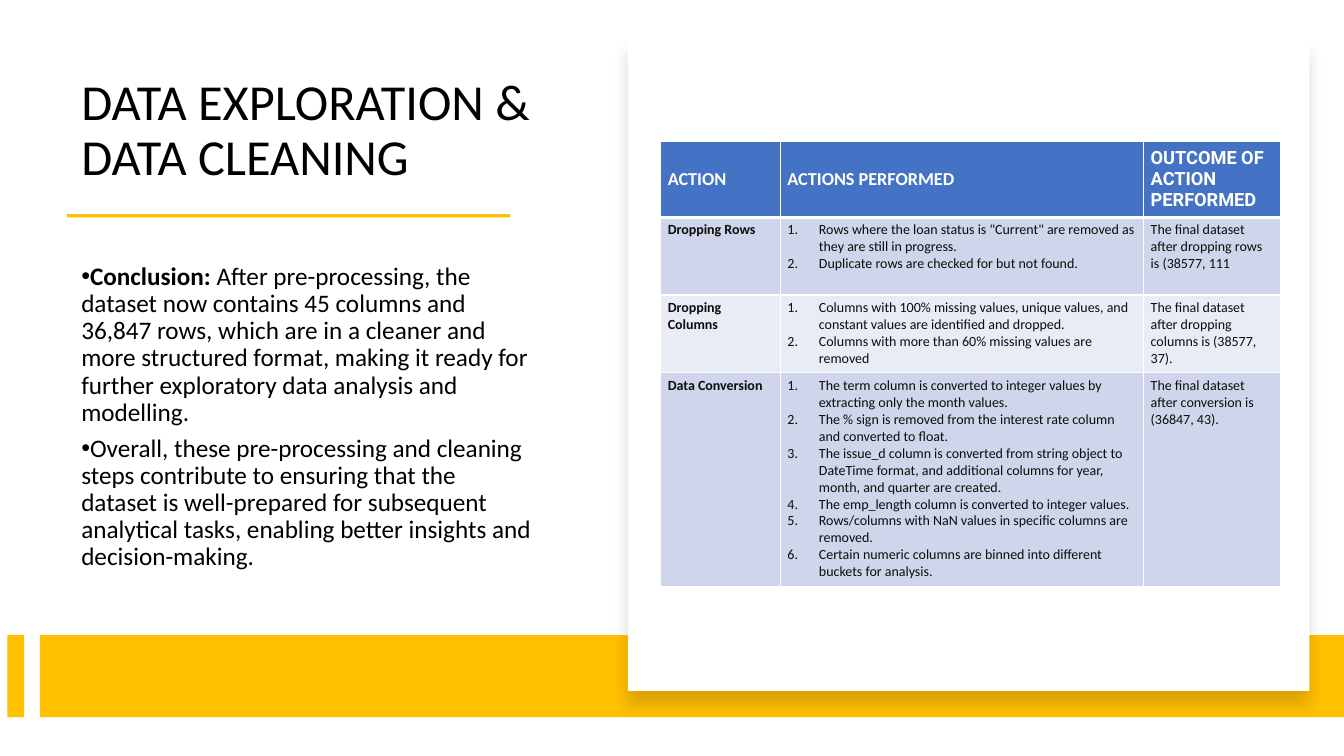
from dataclasses import dataclass

from lxml import etree
from pptx import Presentation
from pptx import util as u
from pptx.dml.color import RGBColor
from pptx.enum import shapes, text
from pptx.oxml.ns import qn

PX = 9525  # EMU per px, 96 px to the inch

BLACK = RGBColor(0x00, 0x00, 0x00)
WHITE = RGBColor(0xFF, 0xFF, 0xFF)
GOLD = RGBColor(0xFF, 0xC0, 0x00)
BLUE = RGBColor(0x44, 0x72, 0xC4)
BAND_DARK = RGBColor(0xCF, 0xD5, 0xEA)
BAND_LIGHT = RGBColor(0xE9, 0xEB, 0xF5)
INK = RGBColor(0x0D, 0x0D, 0x0D)


@dataclass(frozen=True)
class Box:
    left: int
    top: int
    width: int
    height: int

    def emu(self) -> tuple[int, int, int, int]:
        return self.left * PX, self.top * PX, self.width * PX, self.height * PX


@dataclass(frozen=True)
class Step:
    action: str
    performed: tuple[str, ...]
    outcome: str
    height: int


TITLE = Box(68, 56, 449, 126)
TITLE_RULE = Box(64, 204, 422, 3)
SUMMARY = Box(68, 213, 449, 369)
FOOTER_BARS = (Box(7, 605, 16, 78), Box(38, 605, 1242, 78))
CARD = Box(598, 37, 649, 621)
COLUMN_WIDTHS = (114, 346, 131)
HEADER_HEIGHT = 72

SUMMARY_POINTS = (
    ("Conclusion: ",
     "After pre-processing, the dataset now contains 45 columns and 36,847 rows, which are in a cleaner "
     "and more structured format, making it ready for further exploratory data analysis and modelling."),
    ("",
     "Overall, these pre-processing and cleaning steps contribute to ensuring that the dataset is "
     "well-prepared for subsequent analytical tasks, enabling better insights and decision-making."),
)
HEADINGS = (("ACTION", "Calibri"), ("ACTIONS PERFORMED", "Calibri"),
            ("OUTCOME OF ACTION PERFORMED", "Roboto"))
STEPS = (
    Step("Dropping Rows",
         ('Rows where the loan status is "Current" are removed as they are still in progress.',
          "Duplicate rows are checked for but not found."),
         "The final dataset after dropping rows is (38577, 111", 74),
    Step("Dropping Columns",
         ("Columns with 100% missing values, unique values, and constant values are identified and dropped.",
          "Columns with more than 60% missing values are removed"),
         "The final dataset after dropping columns is (38577, 37).", 74),
    Step("Data Conversion",
         ("The term column is converted to integer values by extracting only the month values.",
          "The % sign is removed from the interest rate column and converted to float.",
          "The issue_d column is converted from string object to DateTime format, and additional columns "
          "for year, month, and quarter are created.",
          "The emp_length column is converted to integer values.",
          "Rows/columns with NaN values in specific columns are removed.",
          "Certain numeric columns are binned into different buckets for analysis."),
         "The final dataset after conversion is (36847, 43).", 204),
)


def style(run, size: float, color: RGBColor, bold: bool = False, font: str = "Calibri") -> None:
    run.font.size = u.Pt(size)
    run.font.name = font
    run.font.bold = bold
    run.font.color.rgb = color


def set_bullet(paragraph, margin: int, indent: int, tag: str, **attributes: str) -> None:
    props = paragraph._p.get_or_add_pPr()
    props.set("marL", str(margin * PX))
    props.set("indent", str(indent * PX))
    etree.SubElement(props, qn("a:buFont"), typeface="Arial" if tag == "a:buChar" else "+mj-lt")
    etree.SubElement(props, qn(tag), **attributes)


def add_panel(slide, box: Box, color: RGBColor):
    panel = slide.shapes.add_shape(shapes.MSO_SHAPE.RECTANGLE, *box.emu())
    panel.shadow.inherit = False
    panel.fill.solid()
    panel.fill.fore_color.rgb = color
    panel.line.fill.background()
    return panel


def add_soft_shadow(panel) -> None:
    effects = panel._element.spPr.find(qn("a:effectLst"))
    shadow = etree.SubElement(effects, qn("a:outerShdw"), blurRad=str(u.Pt(11)), dist=str(u.Pt(10)),
                              dir="5400000", algn="t", rotWithShape="0")
    tint = etree.SubElement(shadow, qn("a:srgbClr"), val=str(BLACK))
    etree.SubElement(tint, qn("a:alpha"), val="15000")


def format_cell(cell, fill: RGBColor, top: int, bottom: int) -> None:
    cell.margin_left = cell.margin_right = 7 * PX
    cell.margin_top = cell.margin_bottom = 4 * PX
    props = cell._tc.get_or_add_tcPr()
    for side, points in (("L", 1), ("R", 1), ("T", top), ("B", bottom)):
        edge = etree.SubElement(props, qn(f"a:ln{side}"), w=str(u.Pt(points)))
        paint = etree.SubElement(edge, qn("a:solidFill"))
        etree.SubElement(paint, qn("a:srgbClr"), val=str(WHITE))
    cell.fill.solid()
    cell.fill.fore_color.rgb = fill


def add_title(slide) -> None:
    title = slide.shapes.title
    title.left, title.top, title.width, title.height = TITLE.emu()
    frame = title.text_frame
    frame.text = "DATA EXPLORATION & DATA CLEANING"
    frame.word_wrap = True
    frame.auto_size = text.MSO_AUTO_SIZE.NONE
    frame.vertical_anchor = text.MSO_ANCHOR.BOTTOM
    heading = frame.paragraphs[0]
    heading.alignment = text.PP_ALIGN.LEFT
    heading.line_spacing = 0.9
    style(heading.runs[0], 36, BLACK)


def add_summary(slide) -> None:
    frame = slide.shapes.add_textbox(*SUMMARY.emu()).text_frame
    frame.word_wrap = True
    frame.vertical_anchor = text.MSO_ANCHOR.MIDDLE
    for index, (lead, body) in enumerate(SUMMARY_POINTS):
        point = frame.add_paragraph() if index else frame.paragraphs[0]
        point.line_spacing = 0.9
        point.space_after = u.Pt(6)
        set_bullet(point, 0, -24, "a:buChar", char="•")
        for words, bold in ((lead, True), (body, False)):
            if words:
                run = point.add_run()
                run.text = words
                style(run, 18, BLACK, bold)


def add_steps_table(slide) -> None:
    heights = (HEADER_HEIGHT, *(step.height for step in STEPS))
    box = Box(629, 135, sum(COLUMN_WIDTHS), sum(heights))
    table = slide.shapes.add_table(len(heights), len(COLUMN_WIDTHS), *box.emu()).table
    for column, width in zip(table.columns, COLUMN_WIDTHS):
        column.width = width * PX
    for row, height in zip(table.rows, heights):
        row.height = height * PX

    for cell, (heading, font) in zip(table.rows[0].cells, HEADINGS):
        cell.text_frame.text = heading
        cell.vertical_anchor = text.MSO_ANCHOR.MIDDLE
        style(cell.text_frame.paragraphs[0].runs[0], 13, WHITE, True, font)
        format_cell(cell, BLUE, 1, 3)

    for number, step in enumerate(STEPS, start=1):
        contents = (step.action, "\n".join(step.performed), step.outcome)
        for column, words in enumerate(contents):
            cell = table.cell(number, column)
            cell.text_frame.text = words
            for paragraph in cell.text_frame.paragraphs:
                if column == 1:
                    set_bullet(paragraph, 30, -30, "a:buAutoNum", type="arabicPeriod")
                style(paragraph.runs[0], 10, INK, column == 0)
            format_cell(cell, BAND_DARK if number % 2 else BAND_LIGHT, 3 if number == 1 else 1, 1)


def main() -> None:
    deck = Presentation()
    deck.slide_width, deck.slide_height = 1280 * PX, 720 * PX
    slide = deck.slides.add_slide(deck.slide_layouts[5])

    # Title and summary
    add_title(slide)
    add_panel(slide, TITLE_RULE, GOLD)
    add_summary(slide)

    # Footer bars, then the card over them
    for bar in FOOTER_BARS:
        add_panel(slide, bar, GOLD)
    add_soft_shadow(add_panel(slide, CARD, WHITE))

    # Cleaning steps
    add_steps_table(slide)
    deck.save("out.pptx")


if __name__ == "__main__":
    main()
